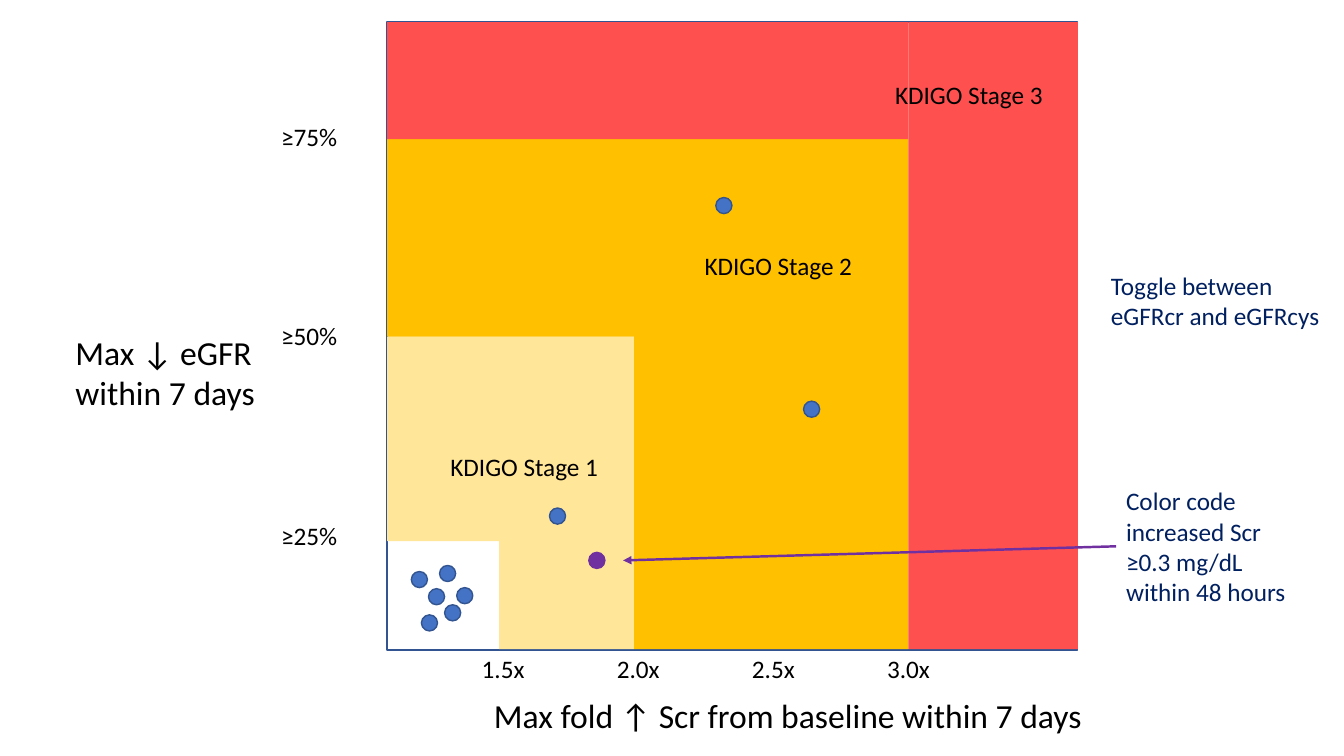
import pptx
import pptx.util
import pptx.dml.color
import pptx.enum.shapes
import pptx.enum.text
import pptx.oxml
import pptx.oxml.ns

Inches = pptx.util.Inches
Pt = pptx.util.Pt
SHAPES = pptx.enum.shapes.MSO_SHAPE
ALIGN = pptx.enum.text.PP_ALIGN
BLACK, NAVY, PURPLE = "000000", "002060", "7030A0"
BLUE, DARK_BLUE = "4472C4", "325491"
DOT = 0.16


def rgb(hex_color):
    return pptx.dml.color.RGBColor.from_string(hex_color)


def add_text(slide, text, box, size=18, color=BLACK, align=ALIGN.LEFT, wrap=False):
    label = slide.shapes.add_textbox(*map(Inches, box))
    frame = label.text_frame
    frame.word_wrap = wrap
    frame.auto_size = pptx.enum.text.MSO_AUTO_SIZE.SHAPE_TO_FIT_TEXT
    frame.text = text
    for paragraph in frame.paragraphs:
        paragraph.alignment = align
        font = paragraph.runs[0].font
        font.name, font.size = "Calibri", Pt(size)
        font.color.rgb = rgb(color)


def add_area(slide, box, fill=None, line=None, kind=SHAPES.RECTANGLE):
    area = slide.shapes.add_shape(kind, *map(Inches, box))
    area.shadow.inherit = False
    if fill:
        area.fill.solid()
        area.fill.fore_color.rgb = rgb(fill)
    else:
        area.fill.background()
    if line:
        area.line.color.rgb = rgb(line)
        area.line.width = Pt(1)
    else:
        area.line.fill.background()


def add_arrow(slide, start, end, color, width):
    arrow = slide.shapes.add_connector(
        pptx.enum.shapes.MSO_CONNECTOR.STRAIGHT, *map(Inches, start + end))
    arrow.line.color.rgb = rgb(color)
    arrow.line.width = Pt(width)
    head = pptx.oxml.ns.qn("a:tailEnd")
    line_xml = arrow.line._get_or_add_ln()
    line_xml.append(line_xml.makeelement(head, {"type": "triangle"}))
    properties = arrow._element.spPr
    properties.append(properties.makeelement(pptx.oxml.ns.qn("a:effectLst"), {}))


def draw_stages(slide, box):
    """Each stage is a column on the right joined to a row on the left."""
    left, top, width, height = box
    add_area(slide, box, line=DARK_BLUE)
    # Edges from the frame's left and top; stages run from 1 to 3
    fold_edges = [1.11, 2.45, 5.17, width]
    drop_edges = [5.15, 3.12, 1.16, 0]
    for i, fill in enumerate(["FFE699", "FFC000", "FF5050"]):
        x, y = fold_edges[i], drop_edges[i + 1]
        add_area(slide, (left + x, top + y, fold_edges[i + 1] - x, height - y - 0.01), fill)
        add_area(slide, (left, top + y, x, drop_edges[i] - y), fill)


def draw_axes(slide, box):
    left, top, width, height = box
    for i, fold in enumerate(["1.5x", "2.0x", "2.5x", "3.0x"]):
        add_text(slide, fold, (left + 0.84 + 1.34 * i, top + height - 0.02, 0.63, 0.4))
    for i, drop in enumerate(["≥75%", "≥50%", "≥25%"]):
        add_text(slide, drop, (left - 1.15, top + 0.93 + 1.98 * i, 0.76, 0.4))
    add_text(slide, "Max ↓ eGFR \nwithin 7 days", (left - 3.19, top + 3.02, 2.04, 0.91), size=24)
    add_text(slide, "Max fold ↑ Scr from baseline within 7 days",
             (left + 0.96, top + height + 0.39, 6.17, 0.5), size=24)


def draw_patients(slide, box):
    left, top = box[:2]
    patients = [(0.24, 5.45), (0.41, 5.62), (0.57, 5.78), (0.69, 5.61), (0.34, 5.88),
                (0.52, 5.39), (1.61, 4.82), (4.13, 3.76), (3.26, 1.74)]
    for x, y in patients:
        add_area(slide, (left + x, top + y, DOT, DOT), BLUE, DARK_BLUE, SHAPES.OVAL)
    # Patient with an early creatinine rise
    add_area(slide, (left + 2, top + 5.26, DOT, DOT), PURPLE, PURPLE, SHAPES.OVAL)
    stage_labels = [(0.52, 4.21), (3.04, 2.21), (4.93, 0.52)]
    for stage, (x, y) in enumerate(stage_labels, 1):
        add_text(slide, f"KDIGO Stage {stage}", (left + x, top + y, 1.68, 0.4),
                 align=ALIGN.CENTER)


def draw_notes(slide, box):
    left, top, width, _ = box
    right = left + width
    add_text(slide, "Toggle between eGFRcr and eGFRcys",
             (right + 0.23, top + 2.41, 2.31, 0.71), color=NAVY, wrap=True)
    add_text(slide, "Color code increased Scr ≥0.3 mg/dL within 48 hours",
             (right + 0.38, top + 4.55, 1.88, 1.31), color=NAVY, wrap=True)
    add_arrow(slide, (right + 0.38, top + 5.2), (left + 2.34, top + 5.34), PURPLE, 1.75)


presentation = pptx.Presentation()
presentation.slide_width = Inches(13.33)
presentation.slide_height = Inches(7.5)
slide = presentation.slides.add_slide(presentation.slide_layouts[6])
plot = (3.84, 0.22, 6.85, 6.23)
for draw in (draw_stages, draw_axes, draw_patients, draw_notes):
    draw(slide, plot)
presentation.save("out.pptx")
